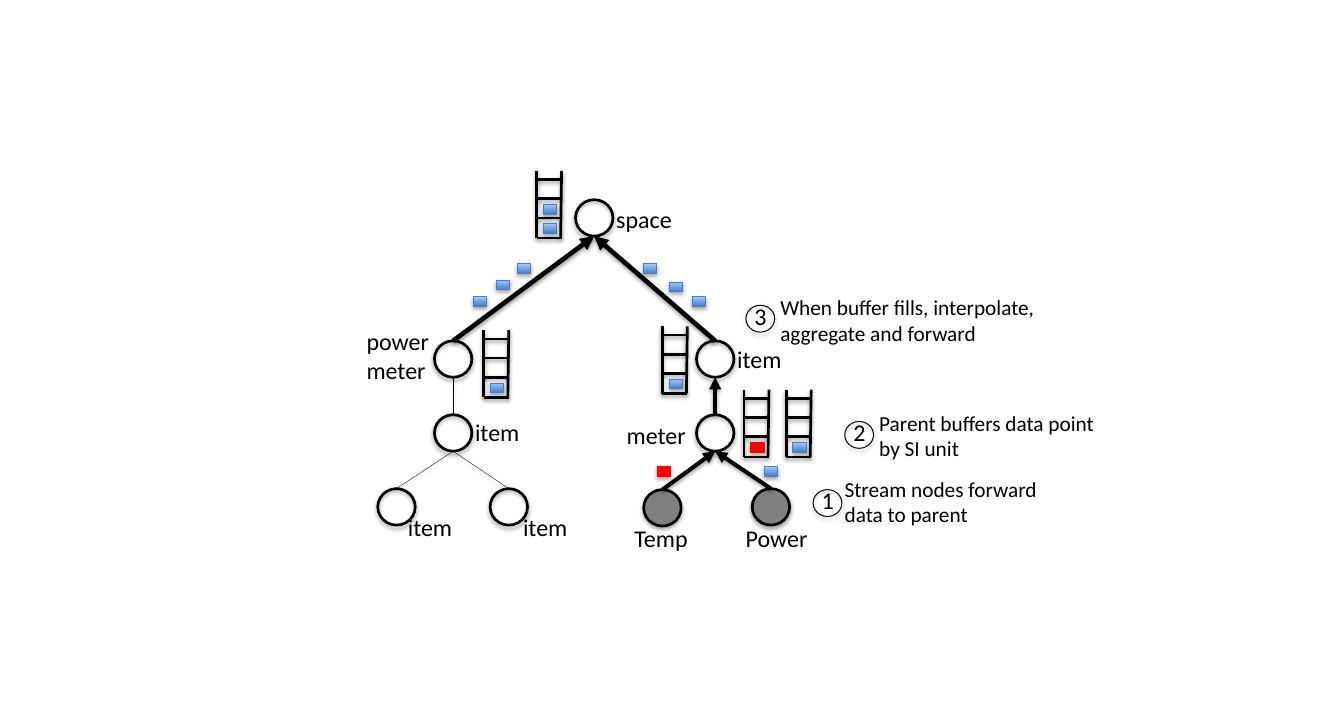
import pptx
import pptx.dml.color
import pptx.enum.shapes
import pptx.enum.text
import pptx.oxml
import pptx.oxml.ns
import pptx.util

COLORS = {
    "black": "000000",
    "gray": "808080",
    "red": "FF0000",
    "blue_dark": "3F80CE",
    "blue_light": "A4C4FF",
    "blue_edge": "4B7EBC",
}
COLUMNS, ROWS = 140, 75
NODE_WIDTH, NODE_HEIGHT = 3.9, 3.8
SHAPES = pptx.enum.shapes.MSO_SHAPE


def color(name):
    return pptx.dml.color.RGBColor.from_string(COLORS[name])


def write_text(frame, text, size=18, font="Calibri", fill="black"):
    frame.word_wrap = False
    frame.auto_size = pptx.enum.text.MSO_AUTO_SIZE.SHAPE_TO_FIT_TEXT
    for index, line in enumerate(text.split("\n")):
        paragraph = frame.add_paragraph() if index else frame.paragraphs[0]
        run = paragraph.add_run()
        run.text = line
        run.font.size = pptx.util.Pt(size)
        run.font.name = font
        run.font.color.rgb = color(fill)


def add_shadow(shape, opacity, distance):
    properties = shape._element.spPr
    for effects in properties.findall(pptx.oxml.ns.qn("a:effectLst")):
        properties.remove(effects)
    properties.append(pptx.oxml.parse_xml(
        f'<a:effectLst {pptx.oxml.ns.nsdecls("a")}>'
        f'<a:outerShdw blurRad="40000" dist="{distance}" dir="5400000" rotWithShape="0">'
        f'<a:srgbClr val="{COLORS["black"]}"><a:alpha val="{opacity * 1000}"/></a:srgbClr>'
        '</a:outerShdw></a:effectLst>'))


class Diagram:
    def __init__(self, presentation):
        self.slide = presentation.slides.add_slide(presentation.slide_layouts[6])
        self.column = presentation.slide_width / COLUMNS
        self.row = presentation.slide_height / ROWS

    def place(self, *lengths):
        units = (self.column, self.row) * 2
        return [round(length * unit) for length, unit in zip(lengths, units)]

    def shape(self, kind, left, top, width, height, fill=None, line="black", weight=2):
        shape = self.slide.shapes.add_shape(kind, *self.place(left, top, width, height))
        if fill == "blue":
            shape.fill.gradient()
            shape.fill.gradient_angle = 90
            for stop, name in zip(shape.fill.gradient_stops, ("blue_dark", "blue_light")):
                stop.color.rgb = color(name)
        elif fill:
            shape.fill.solid()
            shape.fill.fore_color.rgb = color(fill)
        else:
            shape.fill.background()
        shape.line.color.rgb = color(line)
        shape.line.width = pptx.util.Pt(weight)
        add_shadow(shape, 35, 23000)

    def line(self, start, end, weight=2, arrow=False, shapes=None):
        connector = (shapes or self.slide.shapes).add_connector(
            pptx.enum.shapes.MSO_CONNECTOR.STRAIGHT, *self.place(*start, *end))
        connector.line.color.rgb = color("black")
        connector.line.width = pptx.util.Pt(weight)
        if arrow:
            connector.line._get_or_add_ln().append(pptx.oxml.parse_xml(
                f'<a:headEnd {pptx.oxml.ns.nsdecls("a")} type="triangle"/>'))
        add_shadow(connector, 38, 20000)

    def label(self, text, left, top, width, size=18):
        height = 1 + (text.count("\n") + 1) * size * 0.17
        box = self.slide.shapes.add_textbox(*self.place(left, top, width, height))
        write_text(box.text_frame, text, size=size)

    def node(self, x, y, fill=None):
        self.shape(SHAPES.OVAL, x - NODE_WIDTH / 2, y - NODE_HEIGHT / 2,
                   NODE_WIDTH, NODE_HEIGHT, fill)

    def edge(self, parent, child, weight, arrow):
        self.line((parent[0], parent[1] + NODE_HEIGHT / 2),
                  (child[0], child[1] - NODE_HEIGHT / 2), weight, arrow)

    def packet(self, left, top, fill="blue"):
        edge = "blue_edge" if fill == "blue" else fill
        self.shape(SHAPES.RECTANGLE, left, top, 1.4, 1, fill, edge, 0.75)

    def buffer(self, left, top, packets):
        shapes = self.slide.shapes.add_group_shape().shapes
        strokes = [(0, 7, 2.6, 7), (0, 0, 0, 7), (2.6, 0, 2.5, 7),
                   (0, 4.9, 2.5, 4.9), (0.1, 2.9, 2.6, 2.9), (0, 0.9, 2.5, 0.9)]
        for x1, y1, x2, y2 in strokes:
            self.line((left + x1, top + y1), (left + x2, top + y2), shapes=shapes)
        for level, fill in enumerate(packets):
            self.packet(left + 0.7, top + 5.5 - 2 * level, fill)

    def step(self, number, badge, note, width, text):
        left, top = badge
        self.shape(SHAPES.OVAL, left, top, 3, 2.8, weight=0.75)
        self.label(number, left - 0.1, top - 0.9, 3.3)
        self.label(text, *note, width, size=16)


presentation = pptx.Presentation()
presentation.slide_width = pptx.util.Inches(14)
presentation.slide_height = pptx.util.Inches(7.5)
diagram = Diagram(presentation)

nodes = {
    "space": (61.9, 22.7),
    "power meter": (47.2, 37.4),
    "left item": (47.2, 45.1),
    "first leaf": (41.3, 52.8),
    "second leaf": (53, 52.8),
    "right item": (74.5, 37.4),
    "meter": (74.5, 45.1),
    "temperature": (69, 52.9),
    "power": (80.3, 52.8),
}
streams = ("temperature", "power")
for name, center in nodes.items():
    diagram.node(*center, fill="gray" if name in streams else None)

edges = [
    ("power meter", "left item", 0.25),
    ("left item", "first leaf", 0.25),
    ("left item", "second leaf", 0.25),
    ("right item", "meter", 3),
    ("space", "power meter", 3.5),
    ("space", "right item", 3.5),
    ("meter", "temperature", 3),
    ("meter", "power", 3),
]
for parent, child, weight in edges:
    diagram.edge(nodes[parent], nodes[child], weight, arrow=weight > 1)

buffers = [
    (55.9, 17.8, ["blue", "blue"]),
    (69, 34, ["blue"]),
    (50.4, 34.4, ["blue"]),
    (77.5, 40.6, ["red"]),
    (81.9, 40.6, ["blue"]),
]
for left, top, packets in buffers:
    diagram.buffer(left, top, packets)

diagram.packet(68.5, 48.6, "red")
moving_packets = [(79.6, 48.6), (49.3, 30.9), (51.7, 29.2), (53.9, 27.5),
                  (67, 27.5), (69.7, 29.4), (72.1, 30.9)]
for left, top in moving_packets:
    diagram.packet(left, top)

labels = [
    ("space", 63.2, 20.8, 7.9),
    ("power\nmeter", 37.2, 33.5, 8.6),
    ("item", 48.5, 43, 6.7),
    ("item", 41.5, 52.9, 6.7),
    ("item", 53.5, 52.9, 6.7),
    ("item", 75.8, 35.4, 6.7),
    ("meter", 64.3, 43.3, 8.3),
    ("Temp", 65.1, 54, 7.8),
    ("Power", 76.7, 54, 8.6),
]
for label in labels:
    diagram.label(*label)

steps = [
    ("1", (84.7, 51), (87, 49.1), 22.4, "Stream nodes forward\ndata to parent"),
    ("2", (88, 43.9), (90.6, 42.2), 24.9, "Parent buffers data point\nby SI unit"),
    ("3", (77.7, 31.8), (80.3, 30.2), 29,
     "When buffer fills, interpolate,\naggregate and forward"),
]
for step in steps:
    diagram.step(*step)

presentation.save("out.pptx")
